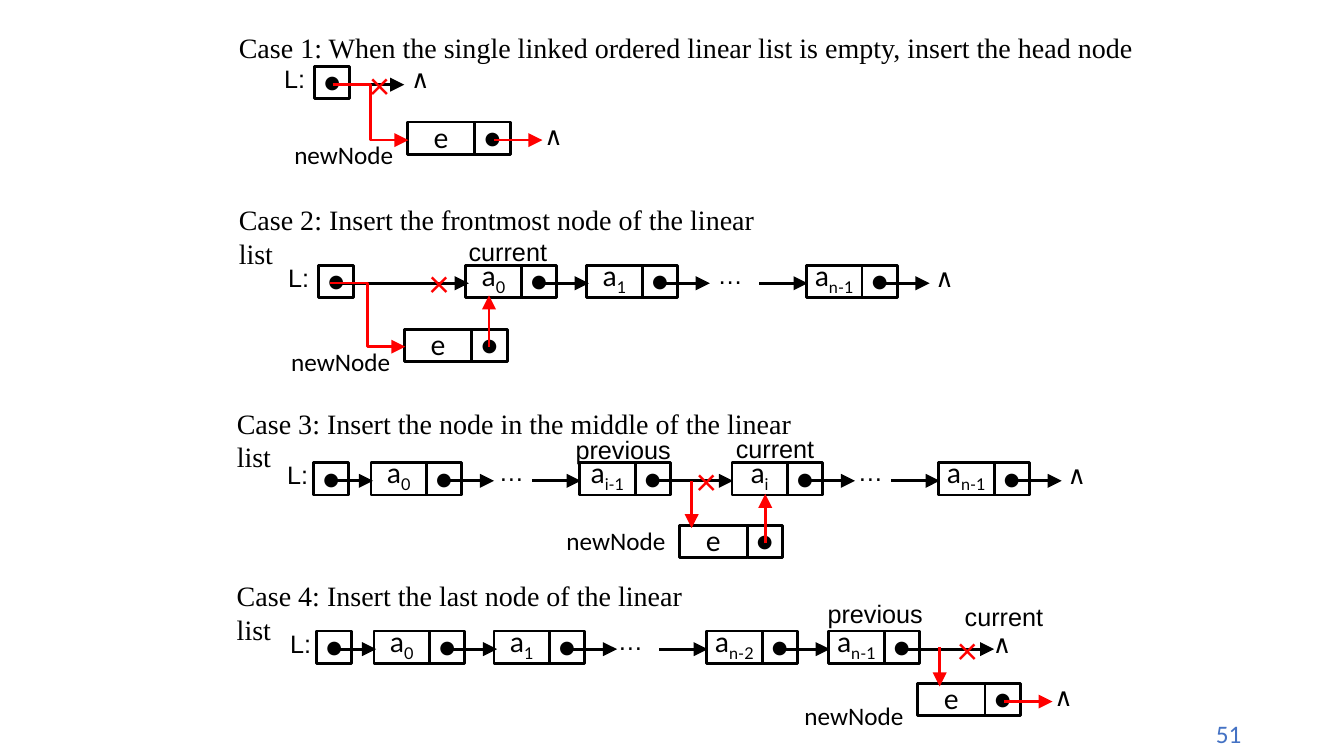
from pptx import Presentation
from pptx.dml.color import RGBColor
from pptx.enum.shapes import MSO_CONNECTOR, MSO_SHAPE
from pptx.enum.text import MSO_ANCHOR, PP_ALIGN
from pptx.oxml.ns import qn
from pptx.util import Inches, Pt
from lxml.etree import SubElement

BLACK, RED, BLUE = "000000", "FF0000", "4472C4"
HIGH, MID = 0.32, 0.18


def paint(code):
    return RGBColor.from_string(code)


def style(para, font, size, color=BLACK, align=None):
    para.font.name = font
    para.font.size = Pt(size)
    para.font.color.rgb = paint(color)
    para.alignment = align


def text(slide, x, y, wide, high, words, font="Arial", size=18,
         color=BLACK, align=None, wrap=False):
    box = slide.shapes.add_textbox(Inches(x), Inches(y), Inches(wide), Inches(high))
    frame = box.text_frame
    frame.word_wrap = wrap
    para = frame.paragraphs[0]
    para.text = words
    style(para, font, size, color, align)


def cell(slide, x, y, wide, words, sub=""):
    box = slide.shapes.add_shape(MSO_SHAPE.RECTANGLE, Inches(x), Inches(y),
                                 Inches(wide), Inches(HIGH))
    box.shadow.inherit = False
    box.fill.background()
    box.line.color.rgb = paint(BLACK)
    box.line.width = Pt(2)
    frame = box.text_frame
    frame.word_wrap = False
    frame.vertical_anchor = MSO_ANCHOR.MIDDLE
    frame.margin_left = frame.margin_right = frame.margin_top = 0
    frame.margin_bottom = Inches(0.08 if sub else 0.02)
    para = frame.paragraphs[0]
    para.add_run().text = words
    if sub:
        run = para.add_run()
        run.text = sub
        run.font._element.set("baseline", "-25000")
    style(para, "Lato", 20, BLACK, PP_ALIGN.CENTER)


def arrow(slide, x, y, end, drop, color=BLACK, kind=MSO_CONNECTOR.STRAIGHT, width=2):
    link = slide.shapes.add_connector(kind, Inches(x), Inches(y), Inches(end), Inches(drop))
    link.line.color.rgb = paint(color)
    link.line.width = Pt(width)
    props = link._element.spPr
    SubElement(props.find(qn("a:ln")), qn("a:tailEnd"), type="triangle", w="lg", len="lg")
    SubElement(props, qn("a:effectLst"))


def elbow(slide, x, y, end, drop):
    arrow(slide, x, y, end, drop, RED, MSO_CONNECTOR.ELBOW, 1.75)


def null(slide, x, y):
    text(slide, x, y, 0.35, 0.4, "∧", "Calibri")


def cross(slide, x, y):
    text(slide, x, y, 0.39, 0.57, "×", "Calibri", 28, RED)


def prior(slide, x, y):
    text(slide, x, y, 1.3, 0.4, "previous", wrap=True)


def current(slide, x, y):
    text(slide, x, y, 1.1, 0.4, "current", wrap=True)


def title(slide, x, y, wide, words, wrap=True):
    text(slide, x, y, wide, 0.44, words, "Times New Roman", 20, wrap=wrap)


def head(slide, x, y, reach, shift=-0.36):
    text(slide, x + shift, y - 0.08, 0.41, 0.4, "L:")
    cell(slide, x, y, 0.35, "●")
    arrow(slide, x + 0.19, y + MID, x + reach, y + MID)


def node(slide, x, y, sub, reach=1.22, gap=0):
    if gap:
        text(slide, x - gap, y - 0.11, 0.45, 0.4, "…")
        arrow(slide, x - 0.47, y + MID, x + 0.01, y + MID)
    cell(slide, x, y, 0.55, "a", sub)
    cell(slide, x + 0.55, y, 0.35, "●")
    arrow(slide, x + 0.74, y + MID, x + reach, y + MID)


def fresh(slide, x, y, last=False, drop=0.12):
    cell(slide, x, y, 0.67, "e")
    cell(slide, x + 0.67, y, 0.35, "●")
    text(slide, x - 1.22, y + drop, 1.18, 0.4, "newNode", "Calibri")
    if last:
        arrow(slide, x + 0.86, y + MID, x + 1.34, y + MID, RED)
        null(slide, x + 1.26, y - 0.07)


def empty(slide, x, y):
    title(slide, x - 0.85, y - 0.41, 9.12,
          "Case 1: When the single linked ordered linear list is empty, insert the head node",
          False)
    head(slide, x, y, 0.89, -0.4)
    null(slide, x + 0.86, y - 0.08)
    cross(slide, x + 0.45, y - 0.11)
    fresh(slide, x + 0.92, y + 0.55, True)
    elbow(slide, x + 0.18, y + MID, x + 0.93, y + 0.73)


def front(slide, x, y):
    title(slide, x - 0.89, y - 0.67, 5.6,
          "Case 2: Insert the frontmost node of the linear list")
    head(slide, x, y, 1.49, -0.4)
    node(slide, x + 1.46, y, "0")
    node(slide, x + 2.66, y, "1")
    node(slide, x + 4.84, y, "n-1", gap=0.98)
    null(slide, x + 6.02, y - 0.08)
    cross(slide, x + 1, y - 0.12)
    current(slide, x + 1.39, y - 0.33)
    fresh(slide, x + 0.85, y + 0.64)
    arrow(slide, x + 1.69, y + 0.81, x + 1.69, y + 0.3, RED)
    elbow(slide, x + 0.11, y + MID, x + 0.86, y + 0.81)


def middle(slide, x, y):
    title(slide, x - 0.86, y - 0.61, 5.95,
          "Case 3: Insert the node in the middle of the linear list")
    head(slide, x, y, 0.59)
    node(slide, x + 0.57, y, "0")
    node(slide, x + 2.64, y, "i-1", 1.52, 0.9)
    node(slide, x + 4.15, y, "i")
    node(slide, x + 6.2, y, "n-1", gap=0.9)
    null(slide, x + 7.38, y - 0.08)
    cross(slide, x + 3.7, y - 0.11)
    prior(slide, x + 2.5, y - 0.33)
    current(slide, x + 4.09, y - 0.34)
    fresh(slide, x + 3.63, y + 0.62, drop=-0.05)
    arrow(slide, x + 4.48, y + 0.8, x + 4.48, y + 0.31, RED)
    arrow(slide, x + 3.75, y + MID, x + 3.75, y + 0.65, RED)


def back(slide, x, y):
    title(slide, x - 0.89, y - 0.57, 4.9,
          "Case 4: Insert the last node of the linear list")
    head(slide, x, y, 0.59)
    node(slide, x + 0.57, y, "0")
    node(slide, x + 1.76, y, "1")
    node(slide, x + 3.87, y, "n-2", gap=0.98)
    node(slide, x + 5.08, y, "n-1", 1.64)
    null(slide, x + 6.61, y - 0.08)
    cross(slide, x + 6.26, y - 0.11)
    prior(slide, x + 4.97, y - 0.37)
    current(slide, x + 6.33, y - 0.34)
    fresh(slide, x + 5.96, y + 0.52, True)
    arrow(slide, x + 6.18, y + 0.16, x + 6.18, y + 0.55, RED)


def main():
    deck = Presentation()
    deck.slide_width, deck.slide_height = Inches(13.33), Inches(7.5)
    slide = deck.slides.add_slide(deck.slide_layouts[6])
    empty(slide, 3.12, 0.66)
    front(slide, 3.16, 2.63)
    middle(slide, 3.11, 4.59)
    back(slide, 3.14, 6.26)
    text(slide, 10.84, 7.08, 1.57, 0.4, "51", "Calibri", 18, BLUE, PP_ALIGN.RIGHT, True)
    deck.save("out.pptx")


if __name__ == "__main__":
    main()
